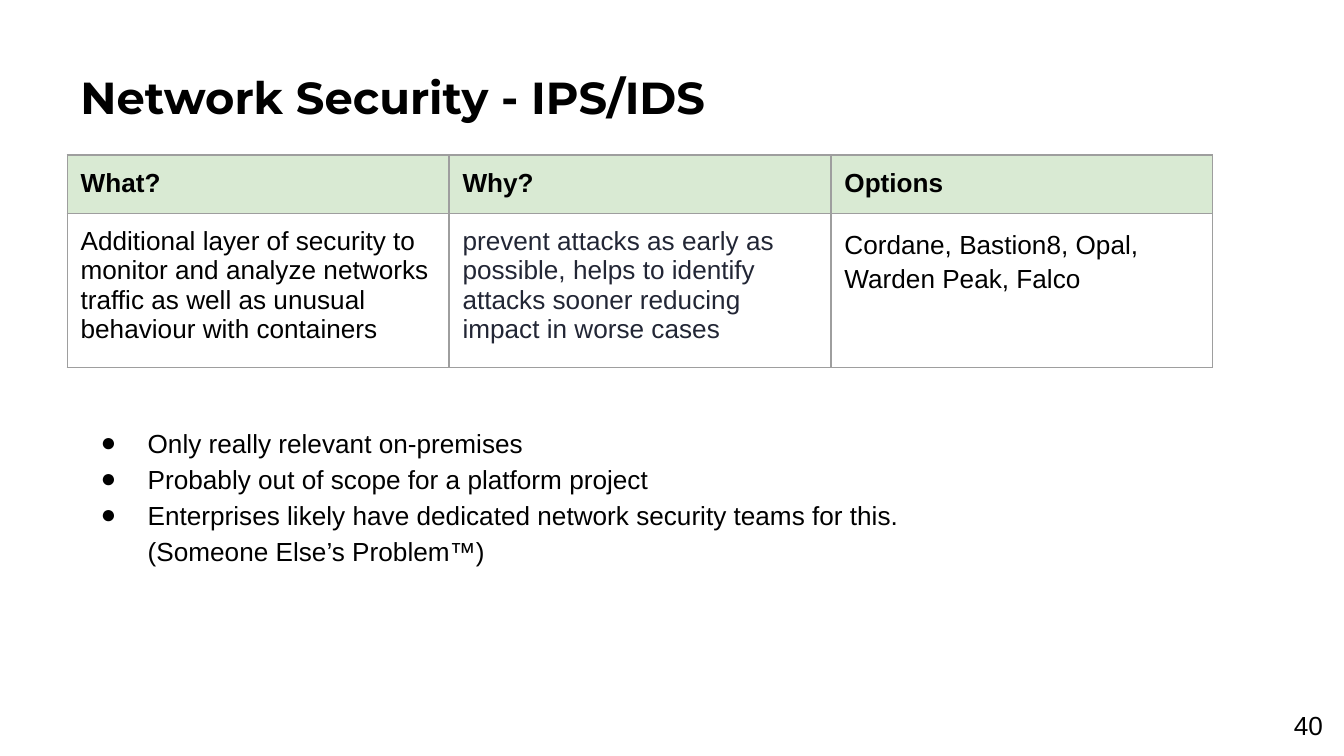
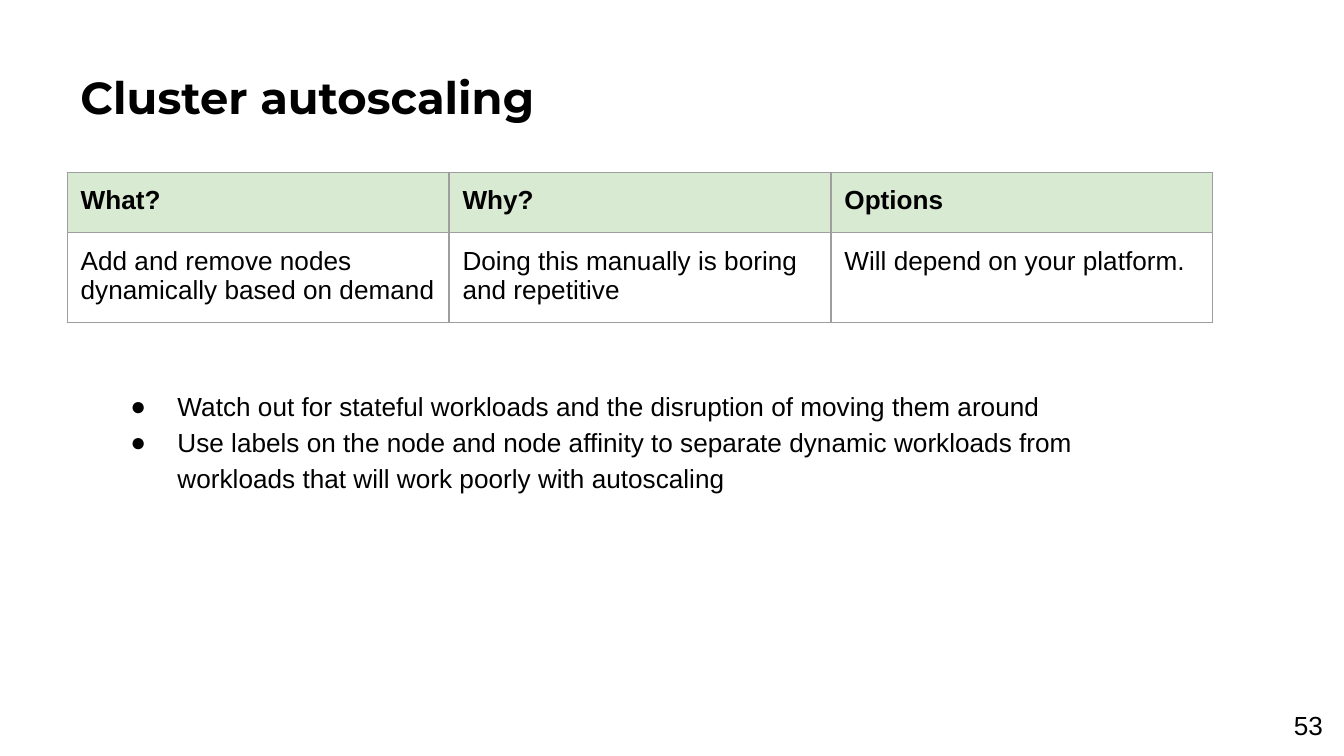
from dataclasses import dataclass

from lxml import etree
from pptx import Presentation, util as u
from pptx.dml.color import RGBColor
from pptx.enum import text
from pptx.oxml import ns

Pt = u.Pt

# Shared look
BLACK = RGBColor(0x00, 0x00, 0x00)
INK = RGBColor(0x22, 0x26, 0x35)
GREEN = RGBColor(0xD9, 0xEA, 0xD3)
GREY = RGBColor(0x9E, 0x9E, 0x9E)
WHITE = RGBColor(0xFF, 0xFF, 0xFF)
SANS, HEAD = "Arial", "Montserrat"
SIZE = 14
PAD = Pt(7.2)
LEFT = 36
COL = 204.6
LOOSE = 1.15
HEADS = ("What?", "Why?", "Options")


@dataclass
class Box:
    left: float
    top: float
    width: float
    height: float


@dataclass
class Cell:
    words: str
    color: RGBColor = BLACK
    bold: bool = False
    fill: RGBColor | None = None
    loose: bool = False


@dataclass
class Page:
    title: str
    number: str
    top: float
    rows: tuple[float, float]
    cells: tuple[Cell, ...]
    notes: Box
    points: tuple[str, ...]


TITLE = Box(LEFT, 30.25, 650, 46.8)
NUMBER = Box(683.3, 373, 35.3, 31)

PAGES = (
    Page(
        "Network Security - IPS/IDS", "40", 83, (30.5, 82.5),
        (
            Cell("Additional layer of security to monitor and analyze networks "
                 "traffic as well as unusual behaviour with containers"),
            Cell("prevent attacks as early as possible, helps to identify "
                 "attacks sooner reducing impact in worse cases", INK),
            Cell("Cordane, Bastion8, Opal, Warden Peak, Falco", loose=True),
        ),
        Box(LEFT, 219, 614, 150.5),
        (
            "Only really relevant on-premises",
            "Probably out of scope for a platform project",
            "Enterprises likely have dedicated network security teams for this. \n"
            "(Someone Else’s Problem™)",
        ),
    ),
    Page(
        "Cluster autoscaling", "53", 92.25, (32.5, 46),
        (
            Cell("Add and remove nodes dynamically based on demand"),
            Cell("Doing this manually is boring and repetitive"),
            Cell("Will depend on your platform."),
        ),
        Box(52, 199.6, 553.7, 126),
        (
            "Watch out for stateful workloads and the disruption of moving them around",
            "Use labels on the node and node affinity to separate dynamic workloads "
            "from workloads that will work poorly with autoscaling",
        ),
    ),
)


def write(para, words: str, size: float = SIZE, face: str = SANS,
          color: RGBColor = BLACK, bold: bool = False) -> None:
    for i, line in enumerate(words.split("\n")):
        if i:
            para.add_line_break()
        run = para.add_run()
        run.text = line
        font = run.font
        font.size, font.name, font.bold = Pt(size), face, bold
        font.color.rgb = color


def pad(part) -> None:
    part.margin_left = part.margin_right = PAD
    part.margin_top = part.margin_bottom = PAD


def add_box(slide, box: Box):
    shape = slide.shapes.add_textbox(
        Pt(box.left), Pt(box.top), Pt(box.width), Pt(box.height))
    frame = shape.text_frame
    frame.word_wrap = True
    pad(frame)
    return frame


def bullet(para) -> None:
    props = para._p.get_or_add_pPr()
    props.set("marL", str(Pt(36)))
    props.set("indent", str(-Pt(25.2)))
    color = etree.SubElement(props, ns.qn("a:buClr"))
    etree.SubElement(color, ns.qn("a:srgbClr"), val=str(BLACK))
    etree.SubElement(props, ns.qn("a:buFont"), typeface=SANS)
    etree.SubElement(props, ns.qn("a:buChar"), char="●")
    para.line_spacing = LOOSE


def edge(cell) -> None:
    props = cell._tc.get_or_add_tcPr()
    for i, side in enumerate(("lnL", "lnR", "lnT", "lnB")):
        line = etree.Element(ns.qn("a:" + side), w=str(Pt(0.75)))
        fill = etree.SubElement(line, ns.qn("a:solidFill"))
        etree.SubElement(fill, ns.qn("a:srgbClr"), val=str(GREY))
        props.insert(i, line)


def fill_cell(cell, item: Cell) -> None:
    pad(cell)
    if item.fill is None:
        cell.fill.background()
    else:
        cell.fill.solid()
        cell.fill.fore_color.rgb = item.fill
    edge(cell)
    para = cell.text_frame.paragraphs[0]
    if item.loose:
        para.line_spacing = LOOSE
        para.space_after = Pt(16)
    write(para, item.words, color=item.color, bold=item.bold)


def add_grid(slide, page: Page) -> None:
    count = len(HEADS)
    table = slide.shapes.add_table(
        2, count, Pt(LEFT), Pt(page.top), Pt(COL * count), Pt(sum(page.rows))).table
    table.first_row = table.horz_banding = False
    for col in table.columns:
        col.width = Pt(COL)
    for row, height in zip(table.rows, page.rows):
        row.height = Pt(height)
    heads = [Cell(name, bold=True, fill=GREEN) for name in HEADS]
    for r, items in enumerate((heads, page.cells)):
        for c, item in enumerate(items):
            fill_cell(table.cell(r, c), item)


def add_page(deck, page: Page) -> None:
    slide = deck.slides.add_slide(deck.slide_layouts[6])
    back = slide.background.fill
    back.solid()
    back.fore_color.rgb = WHITE

    # Title
    write(add_box(slide, TITLE).paragraphs[0], page.title, 24, HEAD, bold=True)

    # Page number
    frame = add_box(slide, NUMBER)
    frame.vertical_anchor = text.MSO_ANCHOR.MIDDLE
    para = frame.paragraphs[0]
    para.alignment = text.PP_ALIGN.CENTER
    write(para, page.number)

    # Table and bullet points
    add_grid(slide, page)
    frame = add_box(slide, page.notes)
    for i, point in enumerate(page.points):
        para = frame.add_paragraph() if i else frame.paragraphs[0]
        bullet(para)
        write(para, point)


def main() -> None:
    deck = Presentation()
    deck.slide_width, deck.slide_height = Pt(720), Pt(405)
    for page in PAGES:
        add_page(deck, page)
    deck.save("out.pptx")


if __name__ == "__main__":
    main()
